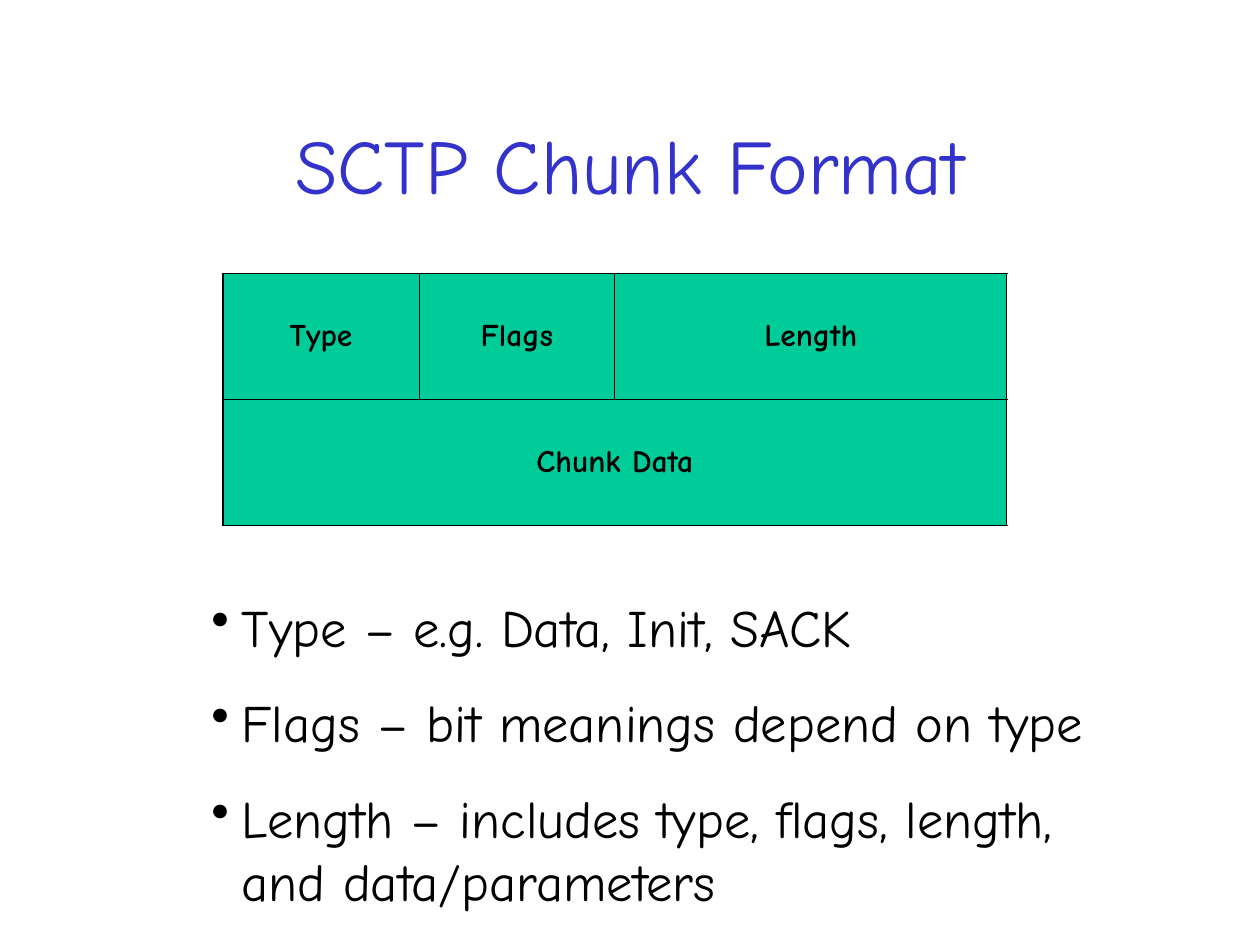
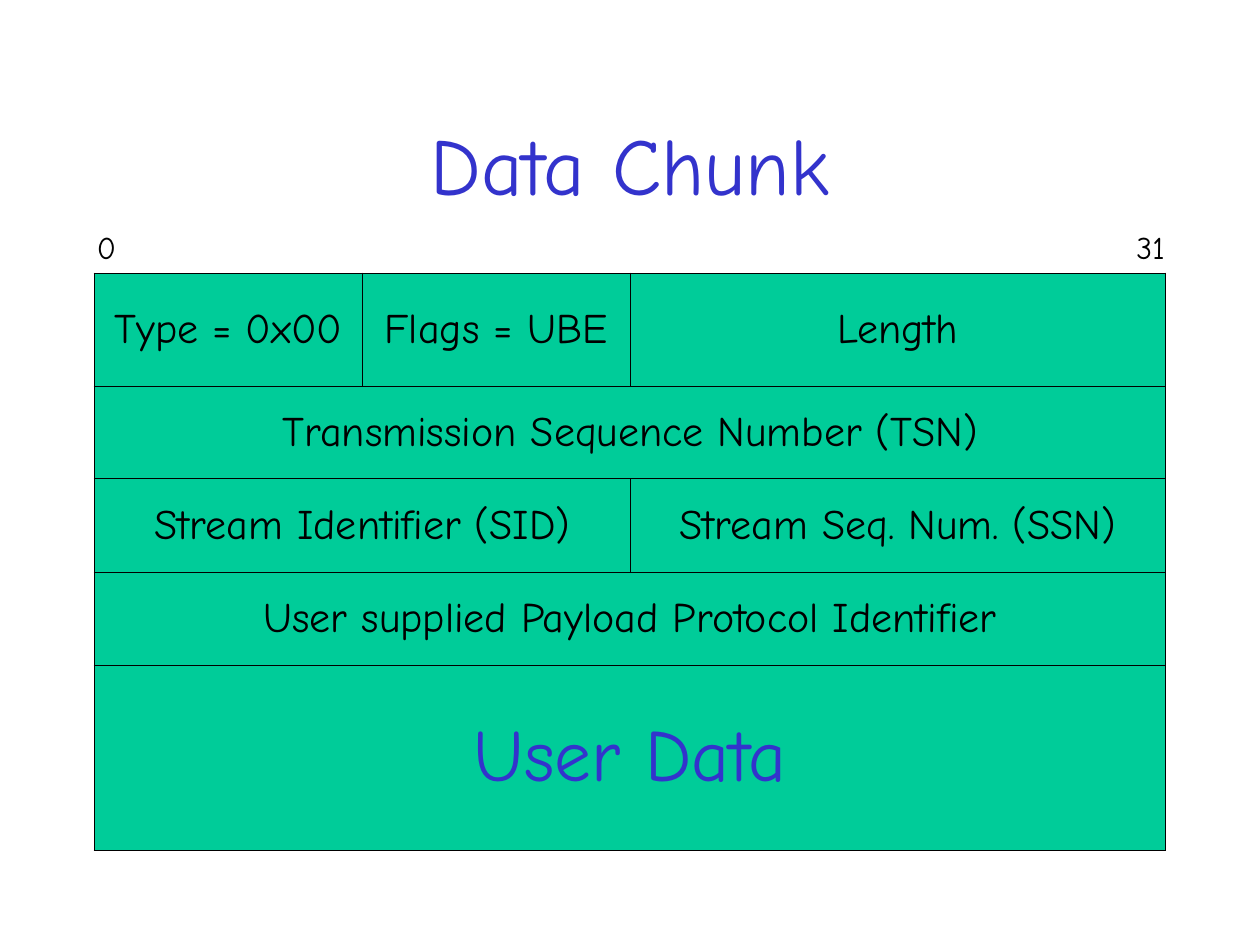
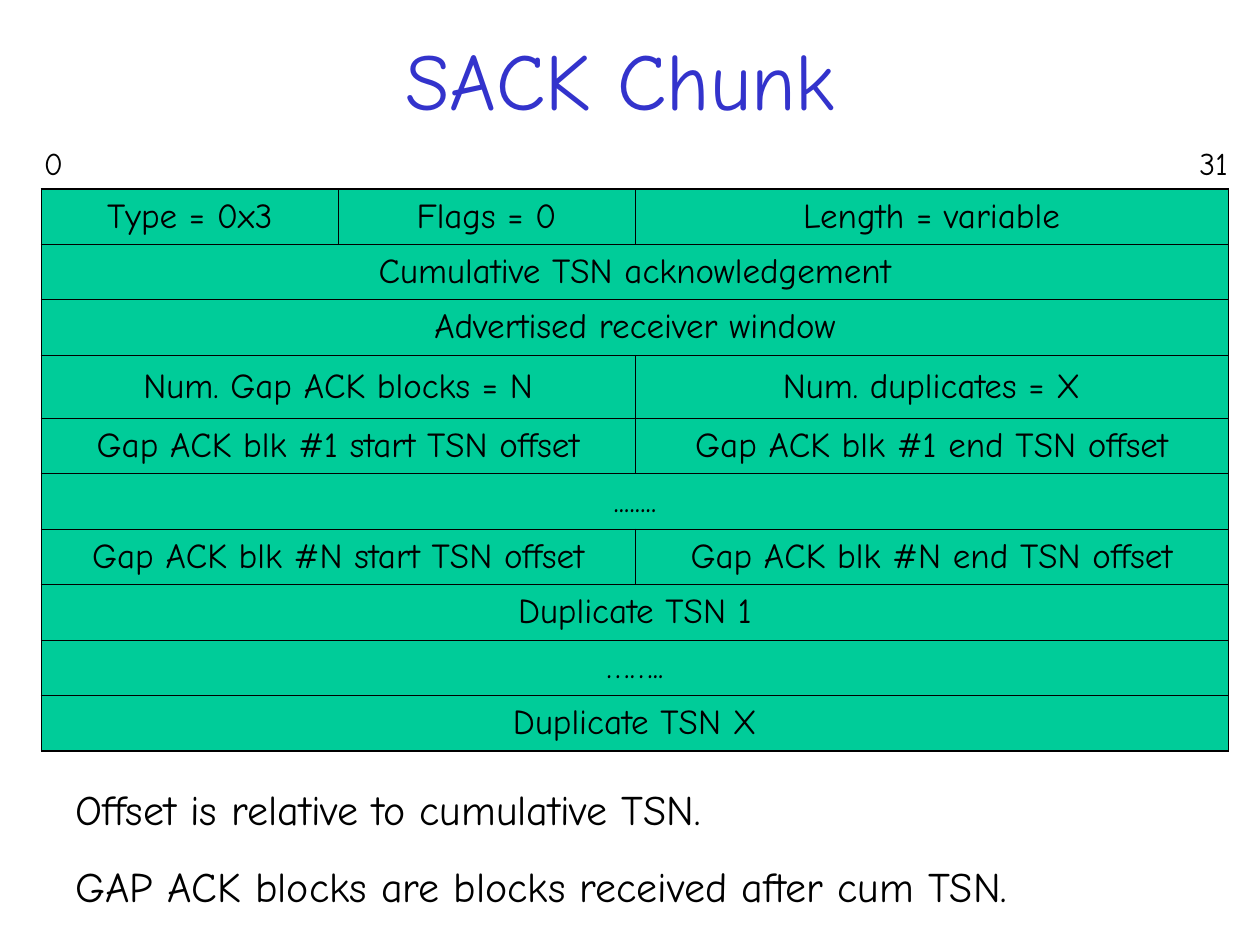
import pptx
import pptx.dml.color
import pptx.enum.text
import pptx.oxml
import pptx.util
from pptx.util import Inches

# Shared look
COLOURS = {"title": "3333CC", "field": "00CC99", "ink": "000000"}
FONT = "Comic Neue"
CENTER = pptx.enum.text.PP_ALIGN.CENTER
LEFT = pptx.enum.text.PP_ALIGN.LEFT
MIDDLE = pptx.enum.text.MSO_ANCHOR.MIDDLE
TOP = pptx.enum.text.MSO_ANCHOR.TOP
OUTER_LINE, INNER_LINE = 1.08, 0.45
WORD_BITS = 32
COLUMN_STARTS = [0, 8, 16, WORD_BITS]  # bit offsets of the column edges
BULLET_INDENT = 0.24

# Content: each chunk row is (height, [(field, bits), ...])
SLIDES = [
    {
        "title": "SCTP Chunk Format", "title_at": (0.75, 0.67), "title_size": 44,
        "chunk_at": (1.77, 2.17, 6.22), "field_size": 18, "bold": True, "ruler": False,
        "rows": [
            (1, [("Type", 8), ("Flags", 8), ("Length", 16)]),
            (1, [("Chunk Data", 32)]),
        ],
        "notes": ["Type – e.g. Data, Init, SACK",
                  "Flags – bit meanings depend on type",
                  "Length – includes type, flags, length, and data/parameters"],
        "notes_at": (1.58, 4.67, 7.42, 2.62), "notes_size": 30,
        "notes_gap": 18.7, "bullets": True,
    },
    {
        "title": "Data Chunk", "title_at": (0.75, 0.67), "title_size": 46,
        "chunk_at": (0.75, 2.17, 8.5), "field_size": 24, "bold": False, "ruler": True,
        "rows": [
            (0.9, [("Type = 0x00", 8), ("Flags = UBE", 8), ("Length", 16)]),
            (0.73, [("Transmission Sequence Number (TSN)", 32)]),
            (0.74, [("Stream Identifier (SID)", 16), ("Stream Seq. Num. (SSN)", 16)]),
            (0.74, [("User supplied Payload Protocol Identifier", 32)]),
            (1.47, [("User Data", 32)]),
        ],
        "highlights": {"User Data": (42, "title")},
    },
    {
        "title": "SACK Chunk", "title_at": (0.67, 0), "title_size": 46,
        "chunk_at": (0.33, 1.5, 9.42), "field_size": 20, "bold": False, "ruler": True,
        "rows": [
            (0.44, [("Type = 0x3", 8), ("Flags = 0", 8), ("Length = variable", 16)]),
            (0.44, [("Cumulative TSN acknowledgement", 32)]),
            (0.44, [("Advertised receiver window", 32)]),
            (0.5, [("Num. Gap ACK blocks = N", 16), ("Num. duplicates = X", 16)]),
            (0.44, [("Gap ACK blk #1 start TSN offset", 16),
                    ("Gap ACK blk #1 end TSN offset", 16)]),
            (0.44, [("........", 32)]),
            (0.44, [("Gap ACK blk #N start TSN offset", 16),
                    ("Gap ACK blk #N end TSN offset", 16)]),
            (0.44, [("Duplicate TSN 1", 32)]),
            (0.44, [("……..", 32)]),
            (0.44, [("Duplicate TSN X", 32)]),
        ],
        "notes": ["Offset is relative to cumulative TSN.",
                  "GAP ACK blocks are blocks received after cum TSN."],
        "notes_at": (0.5, 6.17, 8.92, 1.11), "notes_size": 24,
        "notes_gap": 15, "bullets": False,
    },
]


def rgb(colour):
    return pptx.dml.color.RGBColor.from_string(COLOURS[colour])


def style(paragraph, size, colour="ink", align=LEFT, bold=False):
    paragraph.alignment = align
    font = paragraph.font
    font.name, font.size, font.bold = FONT, pptx.util.Pt(size), bold
    font.color.rgb = rgb(colour)


def add_bullet(paragraph):
    properties = paragraph._p.get_or_add_pPr()
    properties.set("marL", str(Inches(BULLET_INDENT)))
    properties.set("indent", str(-Inches(BULLET_INDENT)))
    bullet = pptx.oxml.parse_xml(
        '<a:buChar xmlns:a="http://schemas.openxmlformats.org/drawingml/2006/main" char="•"/>')
    properties.append(bullet)


def add_text(slide, at, lines, size, colour="ink", align=LEFT, anchor=TOP, gap=0, bullets=False):
    frame = slide.shapes.add_textbox(*map(Inches, at)).text_frame
    frame.word_wrap = True
    frame.vertical_anchor = anchor
    for index, line in enumerate(lines):
        paragraph = frame.add_paragraph() if index else frame.paragraphs[0]
        paragraph.text = line
        if bullets:
            add_bullet(paragraph)
        if index:
            paragraph.space_before = pptx.util.Pt(gap)
        style(paragraph, size, colour, align)


def set_borders(cell, outer_sides):
    """Draw the four edges; outer_sides maps L, R, T, B to whether it is the frame."""
    for side, is_outer in outer_sides.items():
        width = pptx.util.Pt(OUTER_LINE if is_outer else INNER_LINE)
        cell._tc.get_or_add_tcPr().append(pptx.oxml.parse_xml(
            f'<a:ln{side} xmlns:a="http://schemas.openxmlformats.org/drawingml/2006/main" '
            f'w="{width}"><a:solidFill><a:srgbClr val="{COLOURS["ink"]}"/></a:solidFill>'
            f'</a:ln{side}>'))


def add_chunk(slide, content):
    left, top, width = content["chunk_at"]
    rows = content["rows"]
    height = sum(row_height for row_height, _ in rows)
    table = slide.shapes.add_table(len(rows), len(COLUMN_STARTS) - 1,
                                   *map(Inches, (left, top, width, height))).table
    table.first_row = table.horz_banding = False
    for column, start, end in zip(table.columns, COLUMN_STARTS, COLUMN_STARTS[1:]):
        column.width = Inches(width * (end - start) / WORD_BITS)

    for row, (row_height, fields) in enumerate(rows):
        table.rows[row].height = Inches(row_height)
        bit = 0
        for field, bits in fields:
            first = COLUMN_STARTS.index(bit)
            last = COLUMN_STARTS.index(bit + bits) - 1
            outer_sides = {"L": bit == 0, "R": bit + bits == WORD_BITS,
                           "T": row == 0, "B": row == len(rows) - 1}
            for column in range(first, last + 1):
                cell = table.cell(row, column)
                set_borders(cell, outer_sides)
                cell.fill.solid()
                cell.fill.fore_color.rgb = rgb("field")
            origin = table.cell(row, first)
            if last > first:
                origin.merge(table.cell(row, last))
            origin.text = field
            origin.vertical_anchor = MIDDLE
            size, colour = content.get("highlights", {}).get(
                field, (content["field_size"], "ink"))
            style(origin.text_frame.paragraphs[0], size, colour, CENTER, content["bold"])
            bit += bits

    # Bit numbers above the first and last bit
    if content["ruler"]:
        label_top = top - 0.41
        add_text(slide, (left - 0.08, label_top, 0.42, 0.4), ["0"], 18)
        add_text(slide, (left + width - 0.33, label_top, 0.58, 0.4), [str(WORD_BITS - 1)], 18)


def main():
    deck = pptx.Presentation()
    deck.slide_width, deck.slide_height = Inches(10), Inches(7.5)
    for content in SLIDES:
        slide = deck.slides.add_slide(deck.slide_layouts[6])
        add_text(slide, (*content["title_at"], 8.5, 1.25), [content["title"]],
                 content["title_size"], "title", CENTER, MIDDLE)
        add_chunk(slide, content)
        if "notes" in content:
            add_text(slide, content["notes_at"], content["notes"], content["notes_size"],
                     gap=content["notes_gap"], bullets=content["bullets"])
    deck.save("out.pptx")


if __name__ == "__main__":
    main()
